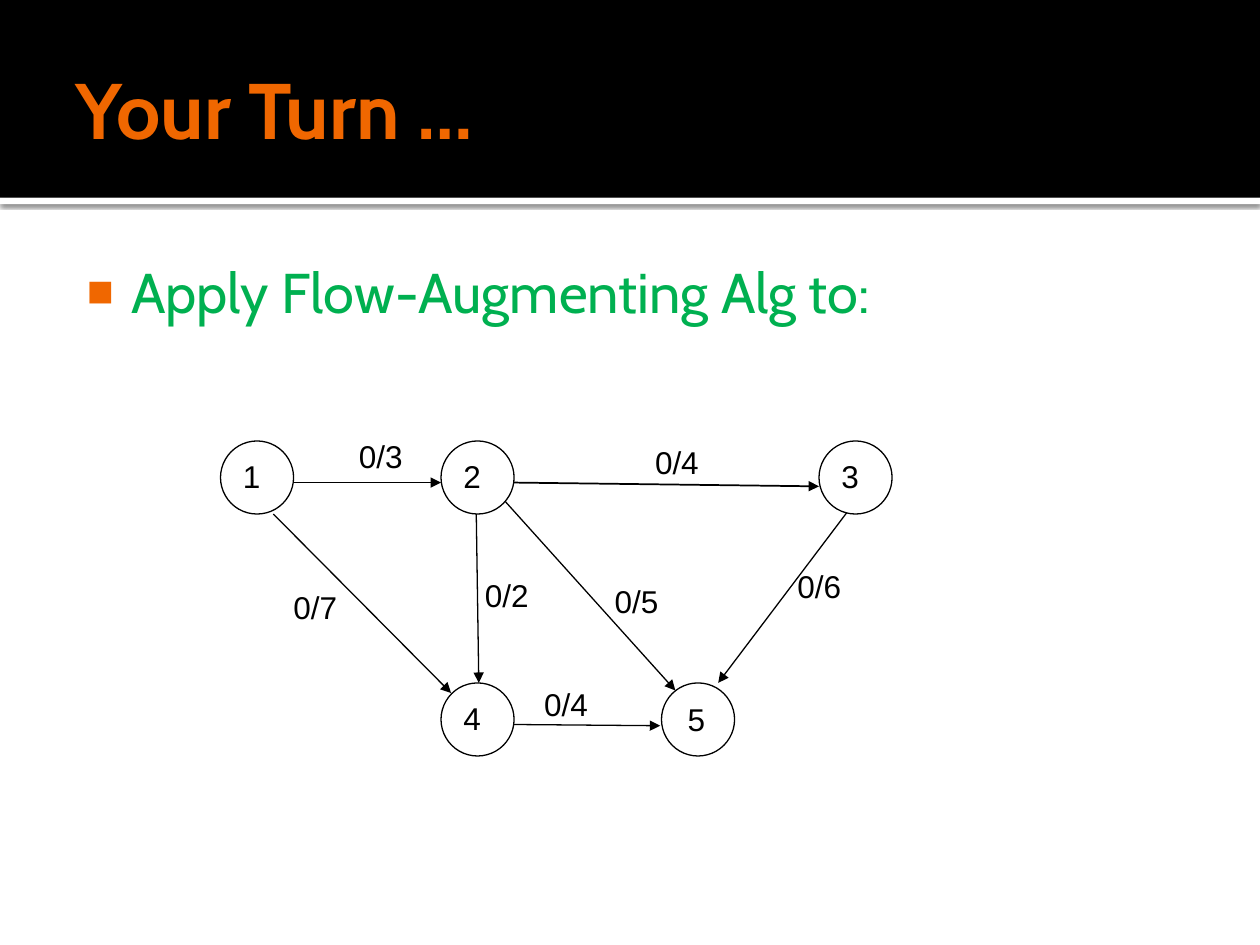
from lxml.etree import SubElement
from pptx import Presentation
from pptx.dml.color import RGBColor
from pptx.enum.shapes import MSO_CONNECTOR, MSO_SHAPE
from pptx.enum.text import MSO_ANCHOR, MSO_AUTO_SIZE, PP_ALIGN
from pptx.oxml import parse_xml
from pptx.oxml.ns import nsdecls, qn
from pptx.util import Inches, Pt

BLACK = RGBColor(0x00, 0x00, 0x00)
WHITE = RGBColor(0xFF, 0xFF, 0xFF)
ORANGE = RGBColor(0xF0, 0x67, 0x00)
GREEN = RGBColor(0x00, 0xB0, 0x50)

NODE_SIZE = 0.58
NODES = {
    "1": (1.75, 3.5, 0.08, 0.08),
    "2": (3.5, 3.5, 0.08, 0.08),
    "3": (6.5, 3.5, 0.08, 0.08),
    "4": (3.5, 5.42, 0.08, 0.08),
    "5": (5.25, 5.42, 0.11, 0.09),
}
EDGES = [
    ("0/3", (2.75, 3.42), (2.33, 3.83), (3.5, 3.83), 1),
    ("0/7", (2.23, 4.62), (2.17, 4.08), (3.58, 5.5), 0.75),
    ("0/2", (3.75, 4.52), (3.78, 4.08), (3.8, 5.42), 0.75),
    ("0/4", (5.1, 3.47), (4.08, 3.83), (6.5, 3.86), 1),
    ("0/5", (4.78, 4.57), (4.01, 3.98), (5.36, 5.48), 0.75),
    ("0/4", (4.22, 5.39), (4.08, 5.75), (5.24, 5.76), 0.75),
    ("0/6", (6.23, 4.45), (6.72, 4.07), (5.7, 5.42), 0.75),
]


def apply_format(target, values):
    for name, value in values.items():
        setattr(target, name, value)


class SlideBuilder:
    title_font = {"name": "Cabin", "size": Pt(45), "bold": True}
    body_font = {"name": "Cabin", "size": Pt(32)}
    label_font = {"name": "Arial", "size": Pt(18)}

    def __init__(self, page):
        self.page = page

    def add_text(self, frame, text, font, color):
        para = frame.paragraphs[0]
        para.alignment = PP_ALIGN.LEFT
        para.space_before = Pt(0)
        span = para.add_run()
        span.text = text
        apply_format(span.font, font)
        span.font.color.rgb = color
        return para

    def place(self, holder, left, top, width, height, margins, anchor):
        apply_format(holder, {"left": Inches(left), "top": Inches(top),
                              "width": Inches(width), "height": Inches(height)})
        sides = ("margin_left", "margin_top", "margin_right", "margin_bottom")
        frame = holder.text_frame
        apply_format(frame, {side: Inches(value) for side, value in zip(sides, margins)})
        apply_format(frame, {"vertical_anchor": anchor, "word_wrap": True,
                             "auto_size": MSO_AUTO_SIZE.NONE})
        return frame

    def title(self, text):
        frame = self.place(self.page.shapes.title, 0.5, 0.17, 9, 1.37,
                           (0.1, 0.05, 0.05, 0.05), MSO_ANCHOR.MIDDLE)
        self.add_text(frame, text, self.title_font, ORANGE)

    def bullet(self, text):
        frame = self.place(self.page.placeholders[1], 0.5, 1.94, 9, 5.06,
                           (0.06, 0.1, 0.1, 0.05), MSO_ANCHOR.TOP)
        para = self.add_text(frame, text, self.body_font, GREEN)
        properties = para._p.get_or_add_pPr()
        properties.set("marL", str(Inches(0.48)))
        properties.set("indent", str(Inches(-0.35)))
        color = SubElement(properties, qn("a:buClr"))
        SubElement(color, qn("a:srgbClr"), val=str(ORANGE))
        SubElement(properties, qn("a:buSzPct"), val="80000")
        SubElement(properties, qn("a:buChar"), char="■")

    def band(self, top, height, color, shadow=False):
        box = self.page.shapes.add_shape(
            MSO_SHAPE.RECTANGLE, 0, Inches(top), Inches(10), Inches(height))
        box.fill.solid()
        box.fill.fore_color.rgb = color
        box.line.fill.background()
        box.shadow.inherit = False
        if shadow:
            effects = box.element.spPr.find(qn("a:effectLst"))
            effects.append(parse_xml(
                f'<a:outerShdw {nsdecls("a")} blurRad="{Pt(2.5)}" dist="{Pt(0.8)}" '
                'dir="5400000" algn="tl" rotWithShape="0"><a:srgbClr val="000000">'
                '<a:alpha val="60000"/></a:srgbClr></a:outerShdw>'))
        box.element.getparent().insert(2, box.element)

    def label(self, text, left, top, width):
        box = self.page.shapes.add_textbox(
            Inches(left), Inches(top), Inches(width), Inches(0.4))
        apply_format(box.text_frame, {"word_wrap": False,
                                      "auto_size": MSO_AUTO_SIZE.SHAPE_TO_FIT_TEXT})
        self.add_text(box.text_frame, text, self.label_font, BLACK)

    def node(self, text, left, top, label_x, label_y):
        circle = self.page.shapes.add_shape(
            MSO_SHAPE.OVAL, Inches(left), Inches(top), Inches(NODE_SIZE), Inches(NODE_SIZE))
        circle.fill.background()
        circle.line.color.rgb = BLACK
        circle.line.width = Pt(0.75)
        circle.shadow.inherit = False
        self.label(text, left + label_x, top + label_y, 0.34)

    def arrow(self, start, end, weight):
        line = self.page.shapes.add_connector(
            MSO_CONNECTOR.STRAIGHT, *(Inches(value) for value in (*start, *end)))
        line.line.color.rgb = BLACK
        line.line.width = Pt(weight)
        SubElement(line.line._get_or_add_ln(), qn("a:tailEnd"), type="triangle")
        SubElement(line.element.spPr, qn("a:effectLst"))


def main():
    deck = Presentation()
    deck.slide_width = Inches(10)
    deck.slide_height = Inches(7.5)
    page = deck.slides.add_slide(deck.slide_layouts[1])
    page.background.fill.solid()
    page.background.fill.fore_color.rgb = WHITE
    builder = SlideBuilder(page)
    builder.band(0, 1.57, BLACK)
    builder.band(1.57, 0.05, WHITE, shadow=True)
    builder.title("Your Turn …")
    builder.bullet("Apply Flow-Augmenting Alg to:")
    for name, layout in NODES.items():
        builder.node(name, *layout)
    for flow, position, start, end, weight in EDGES:
        builder.arrow(start, end, weight)
        builder.label(flow, *position, 0.55)
    deck.save("out.pptx")


if __name__ == "__main__":
    main()
